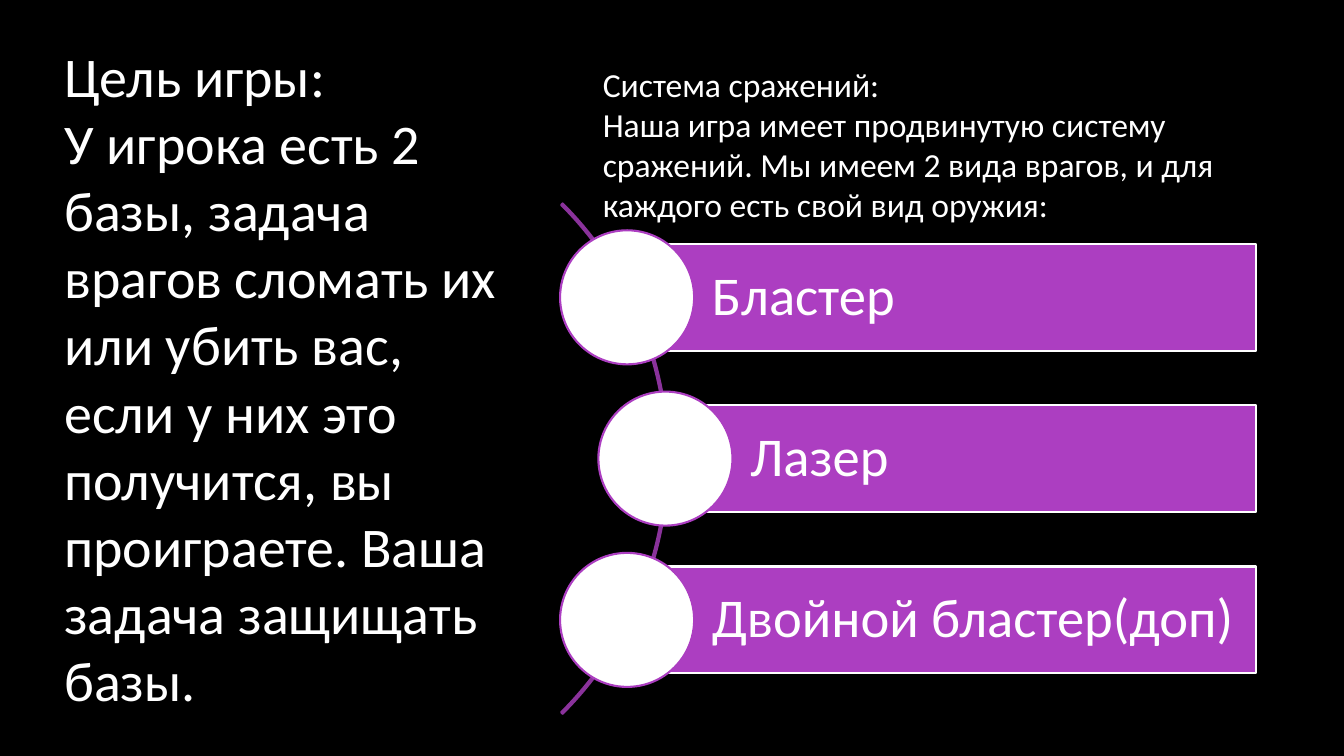
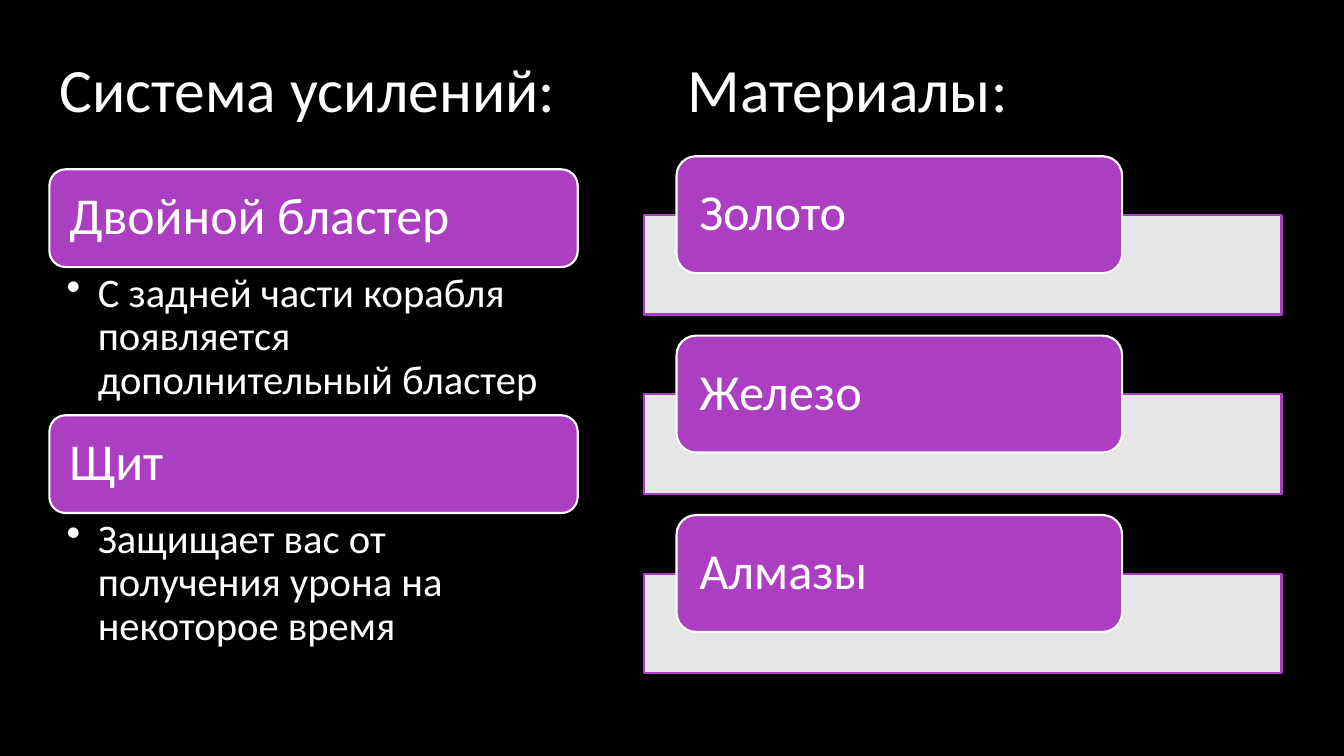
from lxml import etree
from pptx import Presentation
from pptx.dml.color import RGBColor
from pptx.enum.shapes import MSO_SHAPE
from pptx.enum.text import MSO_ANCHOR, PP_ALIGN
from pptx.oxml.ns import qn
from pptx.util import Inches, Pt

RECTANGLE = MSO_SHAPE.RECTANGLE
ROUNDED = MSO_SHAPE.ROUNDED_RECTANGLE
OVAL = MSO_SHAPE.OVAL
BLOCK_ARC = MSO_SHAPE.BLOCK_ARC
TOP, MIDDLE = MSO_ANCHOR.TOP, MSO_ANCHOR.MIDDLE
LEFT = PP_ALIGN.LEFT

FONT = "Calibri"
BLACK, WHITE, PURPLE, DARK_PURPLE = "000000", "FFFFFF", "AC3EC1", "8A329B"
PLAIN_MARGINS = (0.1, 0.05, 0.1, 0.05)


def add_shape(slide, kind, place, fill, line):
    shape = slide.shapes.add_shape(kind, *map(Inches, place))
    shape.shadow.inherit = False
    if fill:
        shape.fill.solid()
        shape.fill.fore_color.rgb = RGBColor.from_string(fill)
    else:
        shape.fill.background()
    shape.line.color.rgb = RGBColor.from_string(line)
    shape.line.width = Pt(1.5)
    return shape


def write(shape, lines, size, margins=PLAIN_MARGINS, anchor=TOP, spacing=1.0):
    frame = shape.text_frame
    frame.text = "\n".join(lines)
    left, top, right, bottom = map(Inches, margins)
    frame_format = {
        "word_wrap": True, "vertical_anchor": anchor,
        "margin_left": left, "margin_top": top,
        "margin_right": right, "margin_bottom": bottom,
    }
    for name, value in frame_format.items():
        setattr(frame, name, value)
    for paragraph in frame.paragraphs:
        paragraph.alignment = LEFT
        paragraph.line_spacing = spacing
        for name, value in {"name": FONT, "size": Pt(size)}.items():
            setattr(paragraph.font, name, value)
        paragraph.font.color.rgb = RGBColor.from_string(WHITE)


presentation = Presentation()
presentation.slide_width = Inches(13.33)
presentation.slide_height = Inches(7.5)
slides = []
for _ in range(2):
    slide = presentation.slides.add_slide(presentation.slide_layouts[6])
    slide.background.fill.solid()
    slide.background.fill.fore_color.rgb = RGBColor.from_string(BLACK)
    slides.append(slide)
goal_slide, upgrade_slide = slides

headings = [
    (goal_slide, (0.54, 0.36, 4.54, 7.14), 40, [
        "Цель игры:",
        "У игрока есть 2 базы, задача врагов сломать их или убить вас, "
        "если у них это получится, вы проиграете. Ваша задача защищать базы."]),
    (goal_slide, (5.88, 0.58, 7.11, 2.02), 24, [
        "Система сражений:",
        "Наша игра имеет продвинутую систему сражений. Мы имеем 2 вида врагов, "
        "и для каждого есть свой вид оружия:"]),
    (upgrade_slide, (0.49, 0.46, 5.37, 0.84), 44, ["Система усилений:"]),
    (upgrade_slide, (6.72, 0.46, 5.65, 0.84), 44, ["Материалы:"]),
]
for slide, place, size, lines in headings:
    write(slide.shapes.add_textbox(*map(Inches, place)), lines, size)

arc = add_shape(goal_slide, BLOCK_ARC, (-0.53, 0.97, 7.16, 7.16), None, DARK_PURPLE)
for index, value in enumerate((189, 27, 0.003)):
    arc.adjustments[index] = value

bar_right, bar_height, circle_size = 12.46, 1.06, 1.33
weapons = [("Бластер", 6.22), ("Лазер", 6.6), ("Двойной бластер(доп)", 6.22)]
for row, (weapon, left) in enumerate(weapons):
    top = 2.42 + 1.6 * row
    bar = add_shape(goal_slide, RECTANGLE, (left, top, bar_right - left, bar_height),
                    PURPLE, WHITE)
    write(bar, [weapon], 39, (0.84, 0.11, 0.11, 0.11), MIDDLE, 0.9)
    circle_top = top + (bar_height - circle_size) / 2
    add_shape(goal_slide, OVAL,
              (left - circle_size / 2, circle_top, circle_size, circle_size),
              WHITE, PURPLE)

upgrades = [
    ("Двойной бластер", "С задней части корабля появляется дополнительный бластер"),
    ("Щит", "Защищает вас от получения урона на некоторое время"),
]
for row, (upgrade, description) in enumerate(upgrades):
    top = 1.68 + 2.44 * row
    header = add_shape(upgrade_slide, ROUNDED, (0.49, top, 5.24, 0.97), PURPLE, WHITE)
    write(header, [upgrade], 37, (0.15, 0.15, 0.15, 0.15), MIDDLE, 0.9)
    place = (0.49, top + 0.97, 5.24, 1.47)
    detail = upgrade_slide.shapes.add_textbox(*map(Inches, place))
    write(detail, [description], 29, (0.17, 0.05, 0.29, 0.05), TOP, 0.9)
    properties = detail.text_frame.paragraphs[0]._p.get_or_add_pPr()
    properties.set("marL", str(Inches(0.31)))
    properties.set("indent", str(-Inches(0.31)))
    etree.SubElement(properties, qn("a:buChar")).set("char", "•")

for row, material in enumerate(("Золото", "Железо", "Алмазы")):
    top = 1.55 + 1.78 * row
    band = add_shape(upgrade_slide, RECTANGLE, (6.39, top + 0.58, 6.32, 0.99),
                     WHITE, PURPLE)
    band_color = band.fill._xPr.find(qn("a:solidFill"))[0]
    etree.SubElement(band_color, qn("a:alpha")).set("val", "90000")
    label = add_shape(upgrade_slide, ROUNDED, (6.71, top, 4.42, 1.16), PURPLE, WHITE)
    write(label, [material], 36, (0.17, 0, 0.17, 0), MIDDLE, 0.9)

presentation.save("out.pptx")
